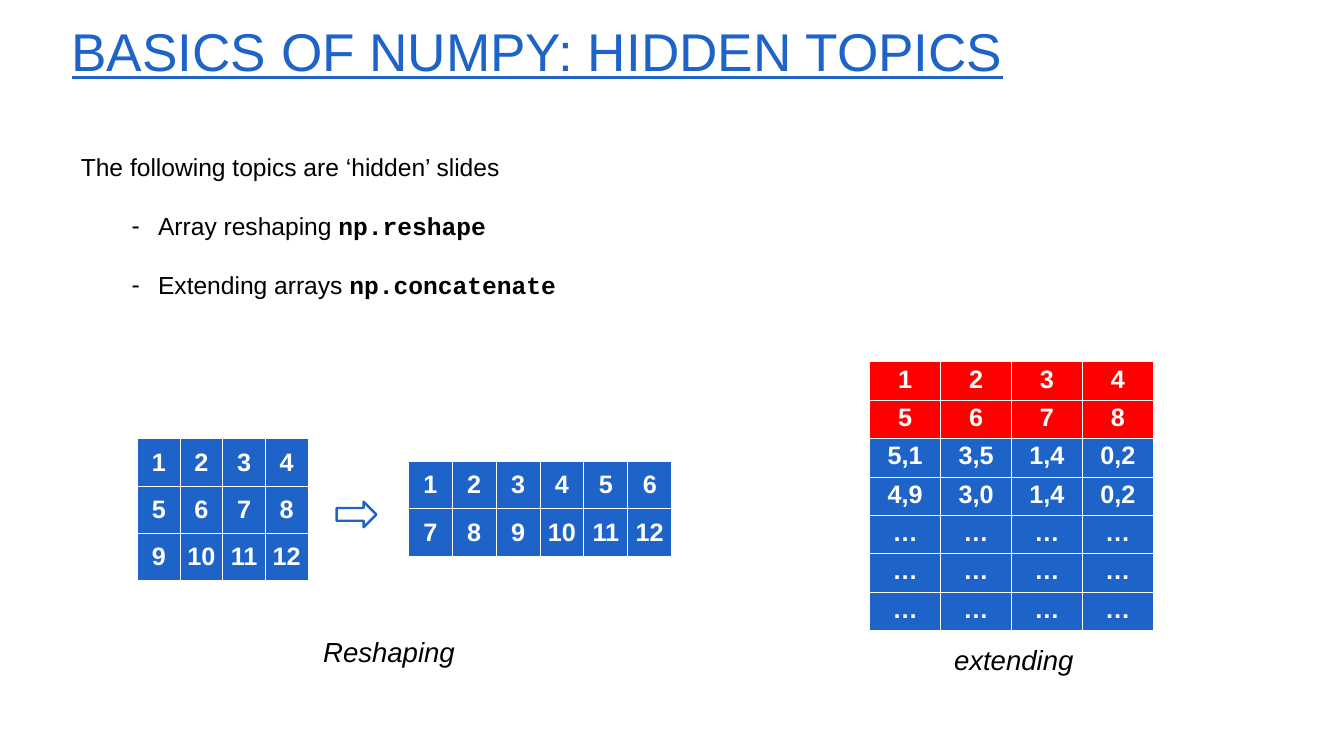
from lxml.etree import SubElement as Sub
from pptx import Presentation
from pptx.dml.color import RGBColor as RGB
from pptx.enum.shapes import MSO_SHAPE as Shape
from pptx.enum.text import MSO_ANCHOR as Anchor, MSO_AUTO_SIZE as Fit, PP_ALIGN as Align
from pptx.oxml.ns import qn
from pptx.util import Pt

BLUE = RGB(0x1E, 0x64, 0xC8)
RED = RGB(0xFF, 0, 0)
BLACK = RGB(0, 0, 0)
WHITE = RGB(0xFF, 0xFF, 0xFF)


class Deck:
    font = "Arial"
    code = "Courier New"

    def __init__(self, wide, high):
        self.prs = Presentation()
        self.prs.slide_width, self.prs.slide_height = Pt(wide), Pt(high)
        self.slide = self.prs.slides.add_slide(self.prs.slide_layouts[1])

    def place(self, shape, x, y, w, h):
        shape.left, shape.top, shape.width, shape.height = Pt(x), Pt(y), Pt(w), Pt(h)

    def style(self, para, size, color):
        font = para.font
        font.name, font.size, font.color.rgb = self.font, Pt(size), color
        return font

    def title(self, text, *box):
        shape = self.slide.shapes.title
        self.place(shape, *box)
        frame = shape.text_frame
        frame.text = text
        frame.auto_size = Fit.NONE
        frame.vertical_anchor = Anchor.BOTTOM
        para = frame.paragraphs[0]
        para.alignment, para.line_spacing = Align.LEFT, 0.9
        self.style(para, 54, BLUE).underline = True

    def body(self, lead, items, *box):
        """Fill the body with a lead line and dashed (text, code) items."""
        shape = self.slide.placeholders[1]
        self.place(shape, *box)
        frame = shape.text_frame
        frame.auto_size = Fit.NONE
        frame.vertical_anchor = Anchor.TOP
        for i, (text, code) in enumerate([(lead, None), *items]):
            para = frame.add_paragraph() if i else frame.paragraphs[0]
            para.line_spacing, para.space_before = 2.0, Pt(0)
            para.add_run().text = text
            props = para._p.get_or_add_pPr()
            if code:
                para.level = 1
                props.set("marL", str(Pt(78.5)))
                props.set("indent", str(Pt(-27)))
                Sub(props, qn("a:buChar")).set("char", "-")
                run = para.add_run()
                run.text = code
                run.font.name, run.font.bold = self.code, True
            else:
                props.set("marL", "0")
                props.set("indent", "0")
                Sub(props, qn("a:buNone"))
            self.style(para, 25, BLACK)

    def table(self, rows, x, y, wide, high, fill, anchor=Anchor.TOP):
        """Draw rows of text in cells of wide by high points."""
        count = len(rows[0])
        grid = self.slide.shapes.add_table(
            len(rows), count, Pt(x), Pt(y), Pt(wide * count), Pt(high * len(rows))).table
        for col in grid.columns:
            col.width = Pt(wide)
        for r, row in enumerate(rows):
            grid.rows[r].height = Pt(high)
            for c, text in enumerate(row):
                self.cell(grid.cell(r, c), text, fill, anchor)

    def cell(self, cell, text, fill, anchor):
        cell.text = str(text)
        cell.margin_left = cell.margin_right = Pt(3)
        cell.vertical_anchor = anchor
        para = cell.text_frame.paragraphs[0]
        para.alignment = Align.CENTER
        self.style(para, 25.6, WHITE).bold = True
        props = cell._tc.get_or_add_tcPr()
        for side in "LRTB":
            line = Sub(props, qn("a:ln" + side), w=str(Pt(1)))
            Sub(Sub(line, qn("a:solidFill")), qn("a:srgbClr"), val=str(WHITE))
        cell.fill.solid()
        cell.fill.fore_color.rgb = fill

    def arrow(self, x, y, w, h):
        shape = self.slide.shapes.add_shape(Shape.RIGHT_ARROW, Pt(x), Pt(y), Pt(w), Pt(h))
        shape.shadow.inherit = False
        shape.fill.background()
        shape.line.color.rgb, shape.line.width = BLUE, Pt(2.5)

    def label(self, text, x, y, w, h):
        frame = self.slide.shapes.add_textbox(Pt(x), Pt(y), Pt(w), Pt(h)).text_frame
        frame.word_wrap = True
        frame.text = text
        self.style(frame.paragraphs[0], 28, BLACK).italic = True


def count_rows(rows, cols):
    """Number the cells from 1, row by row."""
    return [range(r * cols + 1, (r + 1) * cols + 1) for r in range(rows)]


def main():
    deck = Deck(1365.12, 768.24)
    deck.title("BASICS OF NUMPY: HIDDEN TOPICS", 65.5, 20.2, 1237, 67.7)
    deck.body("The following topics are ‘hidden’ slides",
              [("Array reshaping ", "np.reshape"),
               ("Extending arrays ", "np.concatenate")],
              74.9, 121, 502, 181.4)

    deck.table(count_rows(3, 4), 139.7, 445.7, 43.3, 48.2, BLUE, Anchor.MIDDLE)
    deck.arrow(342, 509.8, 40.3, 25.9)
    deck.table(count_rows(2, 6), 414.7, 468.7, 44.6, 48.2, BLUE, Anchor.MIDDLE)
    deck.label("Reshaping", 321.1, 642.2, 162, 41)

    data = [("5,1", "3,5", "1,4", "0,2"), ("4,9", "3,0", "1,4", "0,2")]
    left, top, wide, high = 883.4, 445.7, 72, 39
    deck.table(data + [("…",) * 4] * 3, left, top, wide, high, BLUE)
    deck.table(count_rows(2, 4), left, top - 2 * high, wide, high, RED)
    deck.label("extending", 961.9, 650.2, 164.2, 41)
    deck.prs.save("out.pptx")


if __name__ == "__main__":
    main()
